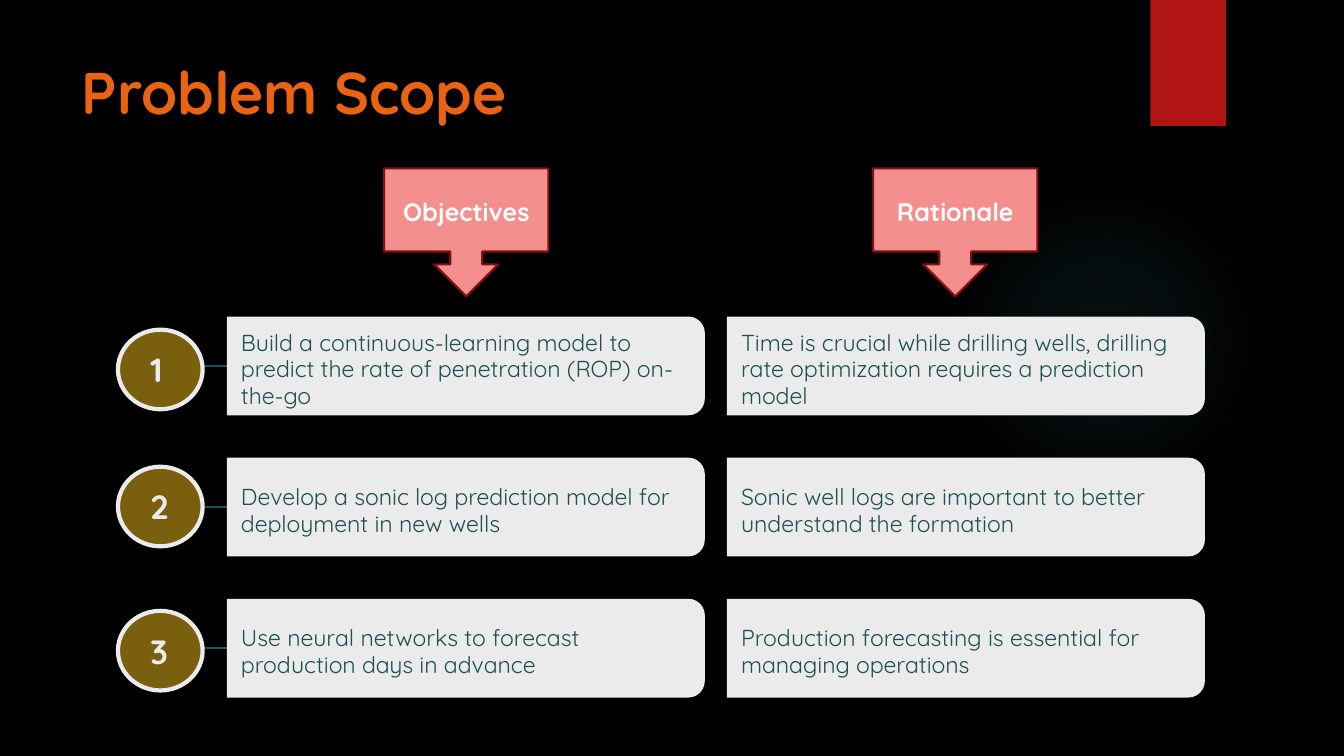
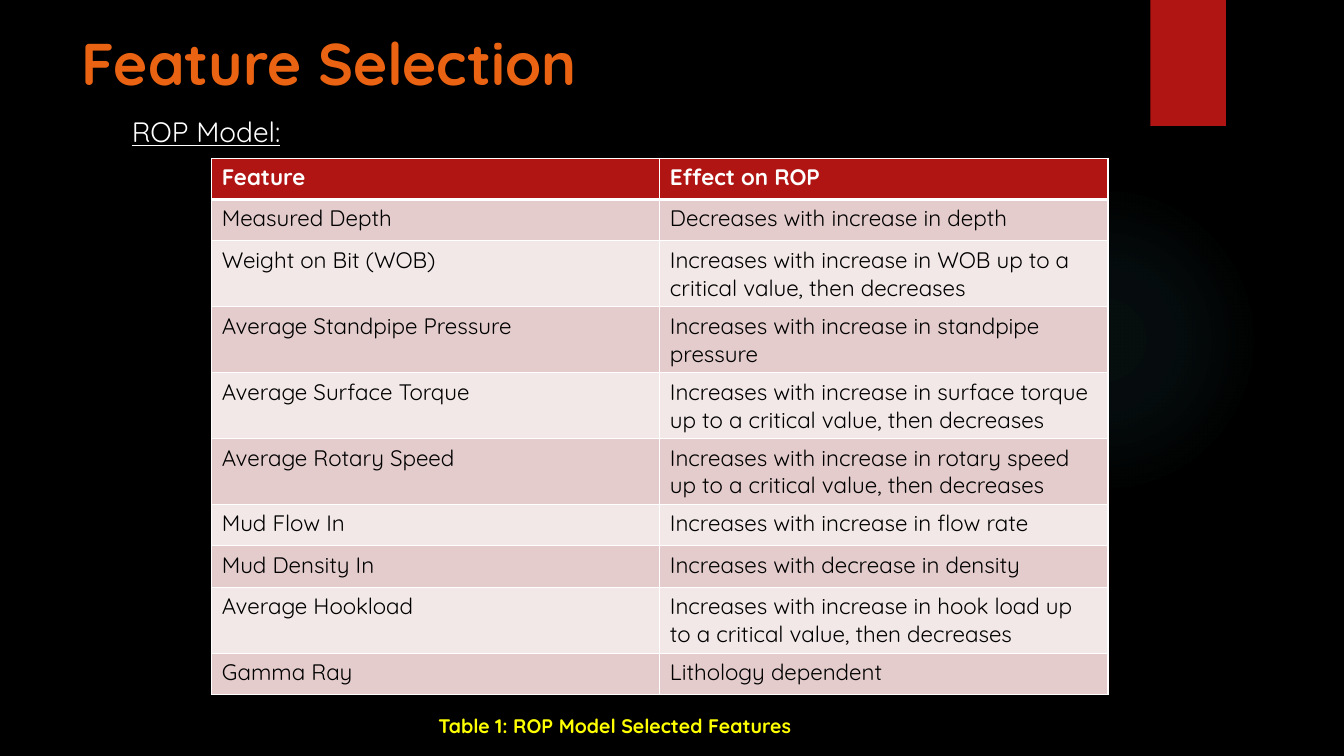
import dataclasses
import typing

import lxml.etree
import pptx
import pptx.dml.color
import pptx.enum.shapes
import pptx.enum.text
import pptx.oxml
import pptx.oxml.ns
import pptx.util

Inches = pptx.util.Inches
Pt = pptx.util.Pt
Shapes = pptx.enum.shapes.MSO_SHAPE
Align = pptx.enum.text.PP_ALIGN
Anchor = pptx.enum.text.MSO_ANCHOR
qn = pptx.oxml.ns.qn

FONT = "Quicksand"
BLACK = "000000"
WHITE = "FFFFFF"
RED = "B01513"
ORANGE = "EA6312"
TEAL = "1E5155"
LIGHT = "EBEBEB"
GOLD = "795F0E"
PINK = "F38F8D"
DARK_RED = "82100E"
YELLOW = "FFFF00"
GLOW = "50B9C1"
BANDS = ("F2E8E7", "E4CCCC")

PANEL_WIDTH, PANEL_HEIGHT = 4.74, 0.98
PANEL_TOP, PANEL_PITCH = 3.14, 1.4
PANEL_LEFTS = (2.25, 7.21)


class Box(typing.NamedTuple):
    left: float
    top: float
    width: float
    height: float

    def lengths(self) -> tuple:
        return tuple(Inches(value) for value in self)


@dataclasses.dataclass(frozen=True)
class TextStyle:
    size: float
    color: str
    bold: bool = False
    underline: bool = False
    align: typing.Any = Align.LEFT
    spacing: float = 1.0


@dataclasses.dataclass(frozen=True)
class ScopeItem:
    circle_top: float
    objective: str
    rationale: str


TITLE = TextStyle(42, ORANGE, bold=True)
NUMBER = TextStyle(24, LIGHT, bold=True)
PANEL = TextStyle(16.5, TEAL, spacing=0.95)
CALLOUT = TextStyle(18, WHITE, bold=True, align=Align.CENTER)
SUBTITLE = TextStyle(20, WHITE, underline=True)
HEADER = TextStyle(16, WHITE, bold=True)
BODY = TextStyle(16, BLACK)
CAPTION = TextStyle(14, YELLOW, bold=True, align=Align.CENTER)

SCOPE_ITEMS = (
    ScopeItem(
        3.27,
        "Build a continuous-learning model to predict the rate of penetration (ROP) on-the-go",
        "Time is crucial while drilling wells, drilling rate optimization requires a prediction model",
    ),
    ScopeItem(
        4.63,
        "Develop a sonic log prediction model for deployment in new wells",
        "Sonic well logs are important to better understand the formation",
    ),
    ScopeItem(
        6.06,
        "Use neural networks to forecast production days in advance",
        "Production forecasting is essential for managing operations",
    ),
)

FEATURES = (
    ("Feature", "Effect on ROP"),
    ("Measured Depth", "Decreases with increase in depth"),
    ("Weight on Bit (WOB)", "Increases with increase in WOB up to a critical value, then decreases"),
    ("Average Standpipe Pressure", "Increases with increase in standpipe pressure"),
    ("Average Surface Torque", "Increases with increase in surface torque up to a critical value, then decreases"),
    ("Average Rotary Speed", "Increases with increase in rotary speed up to a critical value, then decreases"),
    ("Mud Flow In", "Increases with increase in flow rate"),
    ("Mud Density In", "Increases with decrease in density"),
    ("Average Hookload", "Increases with increase in hook load up to a critical value, then decreases"),
    ("Gamma Ray", "Lithology dependent"),
)


def rgb(color: str) -> pptx.dml.color.RGBColor:
    return pptx.dml.color.RGBColor.from_string(color)


def write(frame, text: str, style: TextStyle, anchor=Anchor.TOP, margins=None) -> None:
    frame.word_wrap = True
    frame.auto_size = pptx.enum.text.MSO_AUTO_SIZE.NONE
    frame.vertical_anchor = anchor
    if margins:
        frame.margin_left, frame.margin_top, frame.margin_right, frame.margin_bottom = map(Inches, margins)
    write_paragraph(frame.paragraphs[0], text, style)


def write_paragraph(paragraph, text: str, style: TextStyle) -> None:
    paragraph.alignment = style.align
    paragraph.line_spacing = style.spacing
    run = paragraph.add_run()
    run.text = text
    run.font.name = FONT
    run.font.size = Pt(style.size)
    run.font.bold = style.bold
    run.font.underline = style.underline
    run.font.color.rgb = rgb(style.color)


def add_text(slide, box: Box, text: str, style: TextStyle, anchor=Anchor.TOP, margins=None) -> None:
    write(slide.shapes.add_textbox(*box.lengths()).text_frame, text, style, anchor, margins)


def add_shape(slide, kind, box: Box, fill: str, line: str = "", line_width: float = 1):
    shape = slide.shapes.add_shape(kind, *box.lengths())
    shape.shadow.inherit = False
    shape.fill.solid()
    shape.fill.fore_color.rgb = rgb(fill)
    if line:
        shape.line.color.rgb = rgb(line)
        shape.line.width = Pt(line_width)
    else:
        shape.line.fill.background()
    return shape


def add_glow(slide) -> None:
    shape = add_shape(slide, Shapes.OVAL, Box(9.41, 1.83, 3.08, 3.08), GLOW)
    stops = "".join(
        f'<a:gs pos="{position}000"><a:srgbClr val="{GLOW}"><a:alpha val="{alpha}000"/></a:srgbClr></a:gs>'
        for position, alpha in ((0, 7), (36, 6), (69, 0))
    )
    gradient = pptx.oxml.parse_xml(
        f'<a:gradFill {pptx.oxml.ns.nsdecls("a")}><a:gsLst>{stops}</a:gsLst><a:path path="circle">'
        '<a:fillToRect l="50000" t="50000" r="50000" b="50000"/></a:path></a:gradFill>'
    )
    properties = shape.element.spPr
    properties.replace(properties.find(qn("a:solidFill")), gradient)


def add_slide(presentation, title: str, title_top: float):
    slide = presentation.slides.add_slide(presentation.slide_layouts[5])
    placeholder = slide.shapes.title
    box = Box(0.71, title_top, 10.29, 1.53)
    placeholder.left, placeholder.top, placeholder.width, placeholder.height = box.lengths()
    write(placeholder.text_frame, title, TITLE)
    add_glow(slide)
    add_shape(slide, Shapes.RECTANGLE, Box(11.41, 0, 0.75, 1.25), RED)
    return slide


def add_panel(slide, left: float, top: float, text: str) -> None:
    inset = (PANEL_WIDTH - PANEL_HEIGHT) / 2
    upright = Box(left + inset, top - inset, PANEL_HEIGHT, PANEL_WIDTH)
    add_shape(slide, Shapes.ROUND_2_SAME_RECTANGLE, upright, LIGHT).rotation = 90
    box = Box(left, top, PANEL_WIDTH - 0.05, PANEL_HEIGHT)
    add_text(slide, box, text, PANEL, Anchor.MIDDLE, (0.14, 0.09, 0.01, 0.01))


def add_link(slide, y: float) -> None:
    link = slide.shapes.add_connector(
        pptx.enum.shapes.MSO_CONNECTOR.STRAIGHT, Inches(2), Inches(y), Inches(2.25), Inches(y)
    )
    link.line.color.rgb = rgb(TEAL)
    link.line.width = Pt(1)
    lxml.etree.SubElement(link.element.spPr, qn("a:effectLst"))


def set_borders(cell, bottom_width: float) -> None:
    properties = cell._tc.get_or_add_tcPr()
    widths = {"lnL": 1, "lnR": 1, "lnT": 1, "lnB": bottom_width}
    for index, (side, width) in enumerate(widths.items()):
        border = pptx.oxml.parse_xml(
            f'<a:{side} {pptx.oxml.ns.nsdecls("a")} w="{Pt(width)}">'
            f'<a:solidFill><a:srgbClr val="{WHITE}"/></a:solidFill></a:{side}>'
        )
        properties.insert(index, border)


def add_feature_table(slide) -> None:
    box = Box(2.1, 1.57, 8.89, 5.3)
    table = slide.shapes.add_table(len(FEATURES), 2, *box.lengths()).table
    for row_index, texts in enumerate(FEATURES):
        is_header = row_index == 0
        table.rows[row_index].height = Inches(0.65 if len(texts[1]) > 40 else 0.41)
        for column_index, text in enumerate(texts):
            cell = table.cell(row_index, column_index)
            cell.fill.solid()
            cell.fill.fore_color.rgb = rgb(RED if is_header else BANDS[row_index % 2])
            set_borders(cell, 3 if is_header else 1)
            write_paragraph(cell.text_frame.paragraphs[0], text, HEADER if is_header else BODY)


def build_problem_scope(presentation) -> None:
    slide = add_slide(presentation, "Problem Scope", 0.5)
    for left, heading in ((3.81, "Objectives"), (8.66, "Rationale")):
        box = Box(left, 1.67, 1.63, 1.27)
        callout = add_shape(slide, Shapes.DOWN_ARROW_CALLOUT, box, PINK, DARK_RED, 1.5)
        write(callout.text_frame, heading, CALLOUT, Anchor.MIDDLE, (0, 0.04, 0, 0))
    for index, item in enumerate(SCOPE_ITEMS):
        top = PANEL_TOP + index * PANEL_PITCH
        add_link(slide, top + PANEL_HEIGHT / 2)
        circle = add_shape(slide, Shapes.OVAL, Box(1.17, item.circle_top, 0.84, 0.79), GOLD, LIGHT, 3)
        write(circle.text_frame, str(index + 1), NUMBER, Anchor.MIDDLE, (0.2, 0, 0, 0))
        for left, text in zip(PANEL_LEFTS, (item.objective, item.rationale)):
            add_panel(slide, left, top, text)


def build_feature_selection(presentation) -> None:
    slide = add_slide(presentation, "Feature Selection", 0.21)
    add_text(slide, Box(1.21, 1.09, 9.78, 0.45), "ROP Model:", SUBTITLE)
    add_feature_table(slide)
    add_text(slide, Box(4.07, 7.03, 4.06, 0.34), "Table 1: ROP Model Selected Features", CAPTION)


def main() -> None:
    presentation = pptx.Presentation()
    presentation.slide_width = Inches(13.33)
    presentation.slide_height = Inches(7.5)
    background = presentation.slide_master.background.fill
    background.solid()
    background.fore_color.rgb = rgb(BLACK)
    build_problem_scope(presentation)
    build_feature_selection(presentation)
    presentation.save("out.pptx")


if __name__ == "__main__":
    main()
